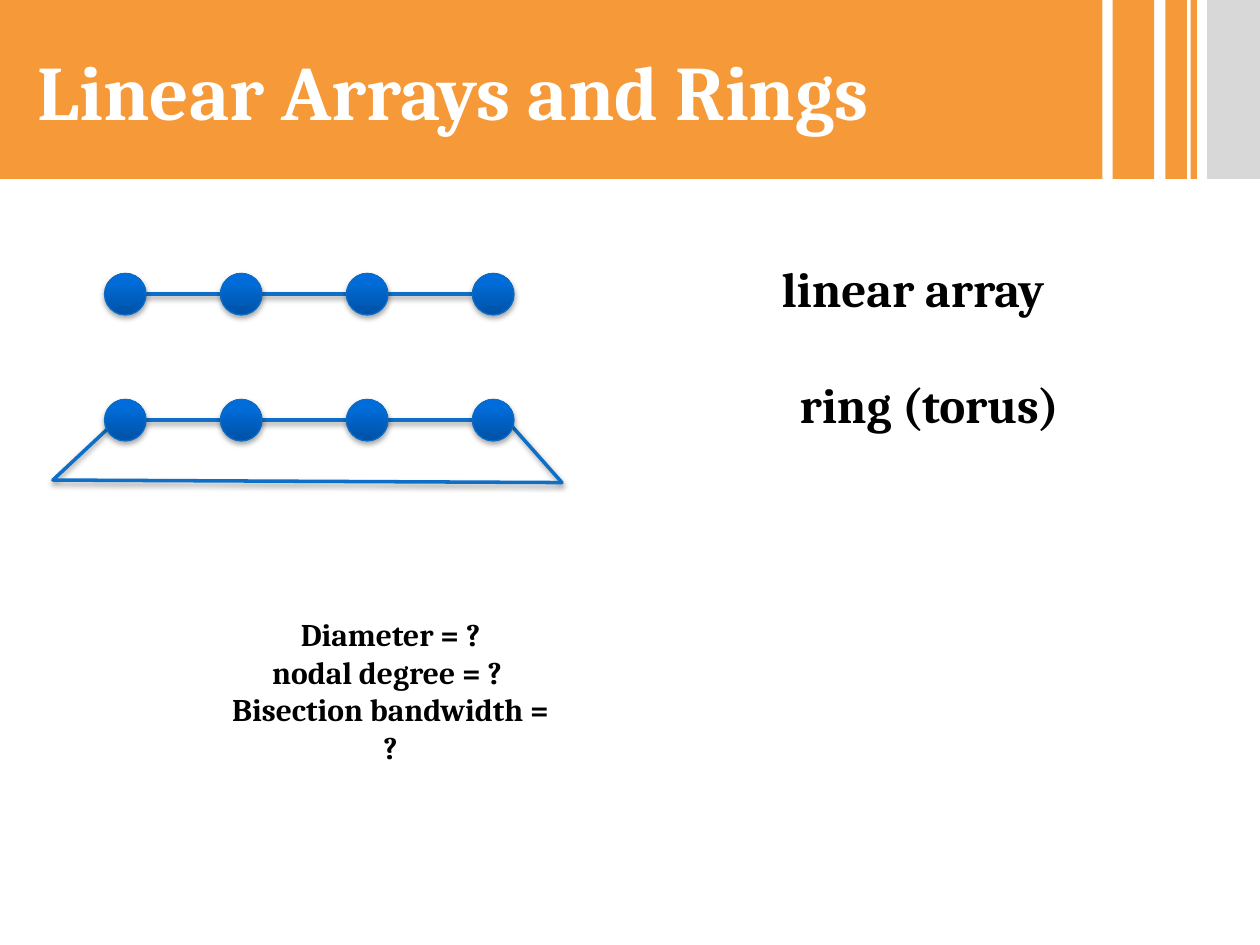
from copy import deepcopy
from dataclasses import dataclass

from pptx import Presentation
from pptx import util as u
from pptx.dml.color import RGBColor
from pptx.enum import shapes, text
from pptx.oxml import parse_xml
from pptx.oxml.ns import nsdecls, qn

ORANGE = RGBColor(0xF6, 0x99, 0x39)
GREY = RGBColor(0xD8, 0xD8, 0xD8)
LINK_BLUE = RGBColor(0x0F, 0x6F, 0xC6)
NODE_EDGE = RGBColor(0x09, 0x6C, 0xC5)
NODE_STOPS = (
    (0, RGBColor(0x00, 0x51, 0xA5)),
    (0.8, RGBColor(0x00, 0x6C, 0xD9)),
    (1, RGBColor(0x00, 0x6C, 0xDF)),
)
BLACK = RGBColor(0, 0, 0)
WHITE = RGBColor(0xFF, 0xFF, 0xFF)
FONT = "Cambria"

BAND_HEIGHT = 1.42
NODE_SIZE = 0.33
NODE_LEFTS = (0.83, 1.75, 2.75, 3.75)
ARRAY_TOP, RING_TOP = 2.17, 3.17


@dataclass(frozen=True)
class Band:
    left: float
    width: float
    color: RGBColor


@dataclass(frozen=True)
class Label:
    words: str
    left: float
    top: float
    width: float
    height: float
    size: int


BANDS = (
    Band(8.83, 0.33, ORANGE),
    Band(9.25, 0.17, ORANGE),
    Band(9.45, 0.05, ORANGE),
    Band(9.58, 0.42, GREY),
)
LABELS = (
    Label("linear array", 5.83, 2, 2.83, 0.57, 28),
    Label("ring (torus)", 6, 2.92, 2.75, 0.57, 28),
    Label("Diameter = ?\vnodal degree = ? \vBisection bandwidth = ?",
          1.72, 4.83, 2.76, 1.01, 18),
)


def add_shadow(shape, opacity: int) -> None:
    """Drop a soft black shadow straight down; call after fill and line are set."""
    properties = shape._element.spPr
    for effects in properties.findall(qn("a:effectLst")):
        properties.remove(effects)
    properties.append(parse_xml(
        f'<a:effectLst {nsdecls("a")}>'
        f'<a:outerShdw blurRad="{u.Pt(3.1)}" dist="{u.Pt(1.7)}" dir="5400000" rotWithShape="0">'
        f'<a:srgbClr val="000000"><a:alpha val="{opacity * 1000}"/></a:srgbClr>'
        '</a:outerShdw></a:effectLst>'))


def set_font(paragraph, size: int, color: RGBColor) -> None:
    font = paragraph.font
    font.name, font.size, font.bold = FONT, u.Pt(size), True
    font.color.rgb = color


def add_band(slide, band: Band):
    shape = slide.shapes.add_shape(
        shapes.MSO_SHAPE.RECTANGLE, u.Inches(band.left), 0,
        u.Inches(band.width), u.Inches(BAND_HEIGHT))
    shape.shadow.inherit = False
    shape.fill.solid()
    shape.fill.fore_color.rgb = band.color
    shape.line.fill.background()
    return shape


def add_title(slide, words: str) -> None:
    frame = add_band(slide, Band(0, 8.75, ORANGE)).text_frame
    frame.margin_left = u.Inches(0.3)
    frame.vertical_anchor = text.MSO_ANCHOR.MIDDLE
    paragraph = frame.paragraphs[0]
    paragraph.text = words
    paragraph.alignment = text.PP_ALIGN.LEFT
    set_font(paragraph, 44, WHITE)


def add_label(slide, label: Label) -> None:
    box = slide.shapes.add_textbox(*map(
        u.Inches, (label.left, label.top, label.width, label.height)))
    frame = box.text_frame
    frame.word_wrap = True
    frame.auto_size = text.MSO_AUTO_SIZE.SHAPE_TO_FIT_TEXT
    paragraph = frame.paragraphs[0]
    paragraph.text = label.words
    paragraph.alignment = text.PP_ALIGN.CENTER
    set_font(paragraph, label.size, BLACK)


def style_link(shape) -> None:
    shape.line.color.rgb = LINK_BLUE
    shape.line.width = u.Pt(2)
    add_shadow(shape, 38)


def add_node(slide, left: float, top: float) -> None:
    node = slide.shapes.add_shape(
        shapes.MSO_SHAPE.OVAL, *map(u.Inches, (left, top, NODE_SIZE, NODE_SIZE)))
    node.fill.gradient()
    node.fill.gradient_angle = 90
    stop_list = node._element.spPr.find(".//" + qn("a:gsLst"))
    stop_list.append(deepcopy(stop_list[-1]))
    for stop, (position, color) in zip(node.fill.gradient_stops, NODE_STOPS):
        stop.position = position
        stop.color.rgb = color
    node.line.color.rgb = NODE_EDGE
    node.line.width = u.Pt(0.75)
    add_shadow(node, 35)


def add_node_row(slide, top: float) -> None:
    middle = u.Inches(top + NODE_SIZE / 2)
    link = slide.shapes.add_connector(
        shapes.MSO_CONNECTOR.STRAIGHT, u.Inches(NODE_LEFTS[0] + NODE_SIZE), middle,
        u.Inches(NODE_LEFTS[-1]), middle)
    style_link(link)
    for left in NODE_LEFTS:
        add_node(slide, left, top)


def add_return_link(slide) -> None:
    start, *rest = [(u.Inches(x), u.Inches(y)) for x, y in
                    ((4.07, 3.39), (4.46, 3.83), (0.42, 3.81), (0.88, 3.38))]
    builder = slide.shapes.build_freeform(*start)
    builder.add_line_segments(rest, close=False)
    link = builder.convert_to_shape()
    link.fill.background()
    style_link(link)


def main() -> None:
    presentation = Presentation()
    presentation.slide_width, presentation.slide_height = u.Inches(10), u.Inches(7.5)
    slide = presentation.slides.add_slide(presentation.slide_layouts[6])

    # Header
    for band in BANDS:
        add_band(slide, band)
    add_title(slide, "Linear Arrays and Rings")

    # Networks: the ring's return link lies behind its nodes
    add_return_link(slide)
    for top in (ARRAY_TOP, RING_TOP):
        add_node_row(slide, top)

    # Captions and questions
    for label in LABELS:
        add_label(slide, label)

    presentation.save("out.pptx")


if __name__ == "__main__":
    main()
